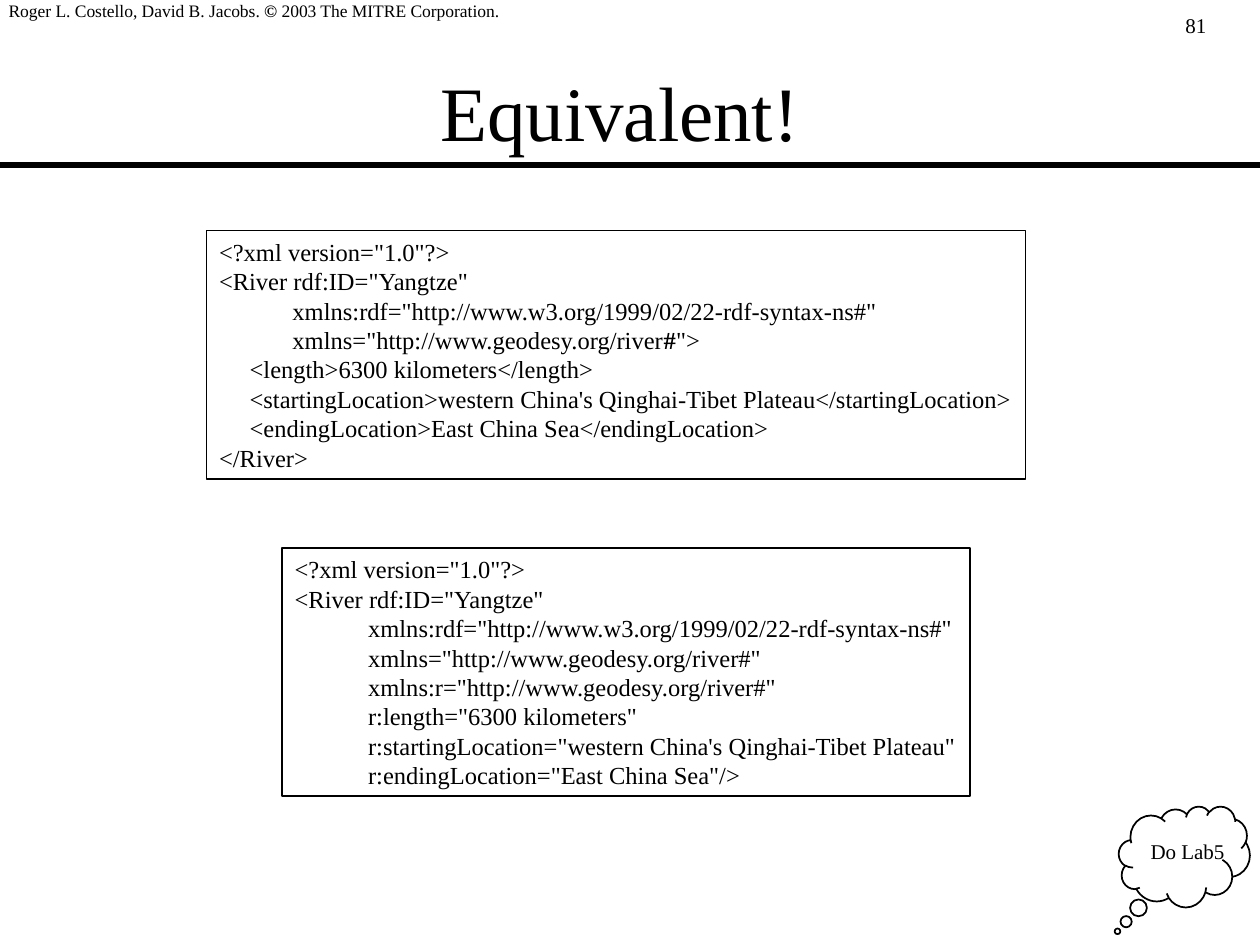
from dataclasses import dataclass

from lxml import etree
from pptx import Presentation
from pptx.dml.color import RGBColor
from pptx.enum import shapes, text
from pptx.oxml.ns import qn
from pptx.util import Inches, Pt

COLORS = {"ink": "000000", "paper": "FFFFFF"}
FONT = "Times New Roman"
BOLD_MARK = "*"  # text between two marks is bold

RIVER_WITH_ELEMENTS = """<?xml version="1.0"?>
<River rdf:ID="Yangtze"
            xmlns:rdf="http://www.w3.org/1999/02/22-rdf-syntax-ns#"
            xmlns="http://www.geodesy.org/river*#*">
     <length>6300 kilometers</length>
     <startingLocation>western China's Qinghai-Tibet Plateau</startingLocation>
     <endingLocation>East China Sea</endingLocation>
</River>"""

RIVER_WITH_ATTRIBUTES = """<?xml version="1.0"?>
<River rdf:ID="Yangtze"
            xmlns:rdf="http://www.w3.org/1999/02/22-rdf-syntax-ns#"
            xmlns="http://www.geodesy.org/river#"
            xmlns:r="http://www.geodesy.org/river#"
            r:length="6300 kilometers"
            r:startingLocation="western China's Qinghai-Tibet Plateau"
            r:endingLocation="East China Sea"/>"""


@dataclass(frozen=True)
class Box:
    left: float
    top: float
    width: float
    height: float

    def lengths(self) -> tuple:
        return tuple(map(Inches, (self.left, self.top, self.width, self.height)))


@dataclass(frozen=True)
class Label:
    content: str
    box: Box
    size: int
    align: text.PP_ALIGN = text.PP_ALIGN.LEFT


@dataclass(frozen=True)
class Listing:
    code: str
    box: Box


def color(name: str) -> RGBColor:
    return RGBColor.from_string(COLORS[name])


def write(frame, content: str, size: int, align=text.PP_ALIGN.LEFT) -> None:
    """Fill a frame, one paragraph a line, with marked parts in bold."""
    for number, line in enumerate(content.split("\n")):
        paragraph = frame.add_paragraph() if number else frame.paragraphs[0]
        paragraph.alignment = align
        for part_number, part in enumerate(line.split(BOLD_MARK)):
            run = paragraph.add_run()
            run.text = part
            run.font.color.rgb = color("ink")
            style = {"name": FONT, "size": Pt(size), "bold": part_number % 2 == 1}
            for attribute, value in style.items():
                setattr(run.font, attribute, value)


def add_label(parent, label: Label) -> None:
    frame = parent.add_textbox(*label.box.lengths()).text_frame
    frame.word_wrap = False
    write(frame, label.content, label.size, label.align)


def add_outline(parent, preset, box: Box):
    shape = parent.add_shape(preset, *box.lengths())
    shape.shadow.inherit = False
    shape.line.color.rgb = color("ink")
    shape.line.width = Pt(1)
    return shape


def add_listing(parent, listing: Listing) -> None:
    panel = add_outline(parent, shapes.MSO_SHAPE.RECTANGLE, listing.box)
    panel.fill.background()
    frame = panel.text_frame
    frame.word_wrap = False
    frame.vertical_anchor = text.MSO_ANCHOR.TOP
    write(frame, listing.code, 14)


def main() -> None:
    deck = Presentation()
    deck.slide_width, deck.slide_height = Inches(10), Inches(7.5)
    slide = deck.slides.add_slide(deck.slide_layouts[5])

    # Page number and copyright line
    add_label(slide.shapes, Label("81", Box(9.31, 0.05, 0.9, 0.3), 12))
    add_label(slide.shapes, Label(
        "Roger L. Costello, David B. Jacobs. *©* 2003 The MITRE Corporation.",
        Box(-0.03, -0.05, 4.1, 0.27), 10))

    # Title and its rule
    title = slide.shapes.title
    title.left, title.top, title.width, title.height = Box(0.67, 0.25, 8.5, 1.25).lengths()
    title.text_frame.vertical_anchor = text.MSO_ANCHOR.MIDDLE
    write(title.text_frame, "Equivalent!", 44, text.PP_ALIGN.CENTER)

    rule_y = Inches(1.31)
    rule = slide.shapes.add_connector(
        shapes.MSO_CONNECTOR.STRAIGHT, 0, rule_y, deck.slide_width, rule_y)
    rule.line.color.rgb = color("ink")
    rule.line.width = Pt(3)
    etree.SubElement(rule._element.spPr, qn("a:effectLst"))

    # The two equivalent documents
    for listing in (
        Listing(RIVER_WITH_ELEMENTS, Box(1.64, 1.83, 6.5, 1.97)),
        Listing(RIVER_WITH_ATTRIBUTES, Box(2.24, 4.35, 5.46, 1.97)),
    ):
        add_listing(slide.shapes, listing)

    # Lab reminder
    reminder = slide.shapes.add_group_shape().shapes
    cloud = add_outline(reminder, shapes.MSO_SHAPE.CLOUD_CALLOUT, Box(8.88, 6.4, 1.04, 0.8))
    cloud.fill.solid()
    cloud.fill.fore_color.rgb = color("paper")
    cloud.adjustments[0], cloud.adjustments[1] = -0.51, 0.74
    add_label(reminder, Label(
        "Do Lab5", Box(9.03, 6.61, 0.79, 0.3), 12, text.PP_ALIGN.CENTER))

    deck.save("out.pptx")


if __name__ == "__main__":
    main()
